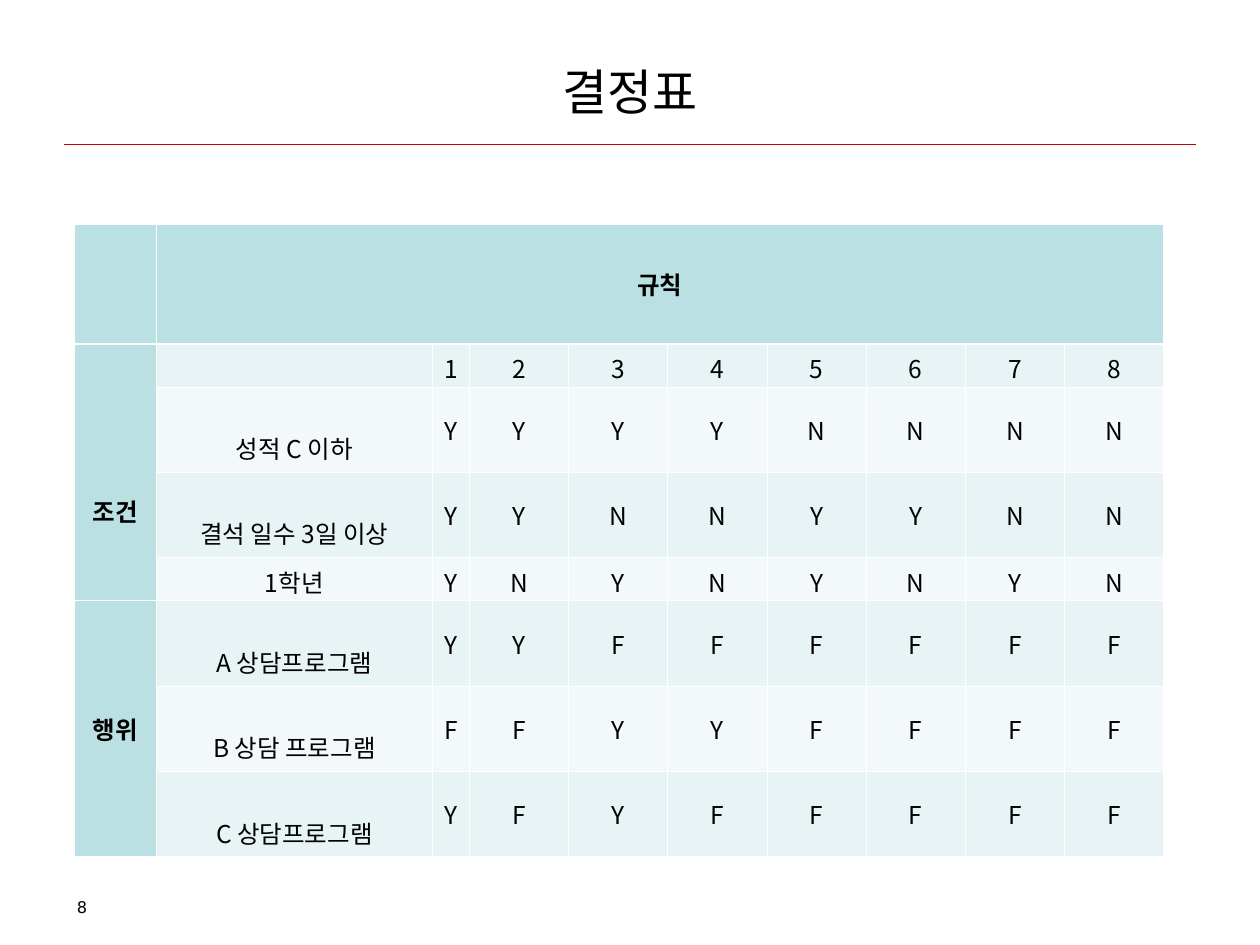
"""Build a decision table slide with conditions, actions and eight rules."""
from lxml.etree import SubElement
from pptx import Presentation
from pptx.dml.color import RGBColor
from pptx.enum.shapes import MSO_CONNECTOR
from pptx.enum.text import MSO_ANCHOR, PP_ALIGN
from pptx.oxml.ns import qn
from pptx.util import Cm, Pt

KOREAN_FONT = "Noto Sans CJK KR"
NUMBER_FONT = "DejaVu Sans"
BLACK, WHITE, RED = "000000", "FFFFFF", "C40000"
HEADER_FILL = "BBE0E3"
BAND_FILLS = ("F3F9FA", "E7F3F4")

TITLE = "결정표"
PAGE_NUMBER = "8"
RULES_HEADING = "규칙"
ROWS = [
    ("", "12345678"),
    ("성적 C 이하", "YYYYNNNN"),
    ("결석 일수 3일 이상", "YYNNYYNN"),
    ("1학년", "YNYNYNYN"),
    ("A 상담프로그램", "YYFFFFFF"),
    ("B 상담 프로그램", "FFYYFFFF"),
    ("C 상담프로그램", "YFYFFFFF"),
]
GROUPS = [
    ("조건", 1, 4, MSO_ANCHOR.TOP, 3),
    ("행위", 5, 7, MSO_ANCHOR.MIDDLE, 0.13),
]
COLUMN_WIDTHS = [1.65, 5.57, 0.74] + [2.0] * 7
ROW_HEIGHTS = [2.4, 0.87, 1.72, 1.72, 0.87, 1.72, 1.72, 1.72]
TABLE_LEFT, TABLE_TOP = 1.5, 4.53


def color(value):
    return RGBColor.from_string(value)


def write(frame, text, size, font=KOREAN_FONT, bold=False, align=PP_ALIGN.CENTER):
    paragraph = frame.paragraphs[0]
    paragraph.alignment = align
    run = paragraph.add_run()
    run.text = text
    run.font.size = Pt(size)
    run.font.name = font
    run.font.bold = bold
    run.font.color.rgb = color(BLACK)
    SubElement(run.font._element, qn("a:ea"), typeface=font)
    return paragraph


def add_text(slide, box, text, size, anchor, **style):
    shape = slide.shapes.add_textbox(*map(Cm, box))
    frame = shape.text_frame
    frame.word_wrap = True
    frame.vertical_anchor = anchor
    return write(frame, text, size, **style)


def style_cell(cell, row, column):
    cell.margin_left = cell.margin_right = cell.margin_top = cell.margin_bottom = 0
    properties = cell._tc.get_or_add_tcPr()
    for side in "LRTB":
        heavy = (row, side) in ((0, "B"), (1, "T"))
        border = SubElement(properties, qn(f"a:ln{side}"), w=str(Pt(1.47 if heavy else 0.45)))
        SubElement(SubElement(border, qn("a:solidFill")), qn("a:srgbClr"), val=WHITE)
    cell.fill.solid()
    header = row == 0 or column == 0
    cell.fill.fore_color.rgb = color(HEADER_FILL if header else BAND_FILLS[row % 2])


def fill_cell(cell, text, anchor=MSO_ANCHOR.MIDDLE, bold=False, top=0.13):
    cell.margin_left = cell.margin_right = Cm(0.18)
    cell.margin_top, cell.margin_bottom = Cm(top), Cm(0.13)
    cell.vertical_anchor = anchor
    write(cell.text_frame, text, 14, bold=bold)


def add_decision_table(slide):
    table = slide.shapes.add_table(
        len(ROW_HEIGHTS), len(COLUMN_WIDTHS), Cm(TABLE_LEFT), Cm(TABLE_TOP),
        Cm(sum(COLUMN_WIDTHS)), Cm(sum(ROW_HEIGHTS))).table
    table.first_row = table.horz_banding = False
    for column, width in zip(table.columns, COLUMN_WIDTHS):
        column.width = Cm(width)
    for row_index, height in enumerate(ROW_HEIGHTS):
        table.rows[row_index].height = Cm(height)
        for column_index in range(len(COLUMN_WIDTHS)):
            style_cell(table.cell(row_index, column_index), row_index, column_index)

    table.cell(0, 1).merge(table.cell(0, len(COLUMN_WIDTHS) - 1))
    fill_cell(table.cell(0, 1), RULES_HEADING, bold=True)
    for name, first, last, anchor, top in GROUPS:
        table.cell(first, 0).merge(table.cell(last, 0))
        fill_cell(table.cell(first, 0), name, anchor, True, top)
    for row_index, (label, values) in enumerate(ROWS, 1):
        if label:
            fill_cell(table.cell(row_index, 1), label, MSO_ANCHOR.BOTTOM)
        for column_index, value in enumerate(values, 2):
            fill_cell(table.cell(row_index, column_index), value)


def main():
    presentation = Presentation()
    presentation.slide_width, presentation.slide_height = Cm(25.4), Cm(19.05)
    slide = presentation.slides.add_slide(presentation.slide_layouts[6])

    rule = slide.shapes.add_connector(
        MSO_CONNECTOR.STRAIGHT, Cm(1.3), Cm(2.92), Cm(24.1), Cm(2.92))
    rule.line.color.rgb = color(RED)
    rule.line.width = Pt(0.75)
    SubElement(rule._element.spPr, qn("a:effectLst"))

    add_text(slide, (1.27, 0.76, 22.86, 2.16), TITLE, 28, MSO_ANCHOR.MIDDLE)
    add_decision_table(slide)
    number = add_text(slide, (1.3, 18.01, 5.92, 0.71), PAGE_NUMBER, 9.2, MSO_ANCHOR.TOP,
                      font=NUMBER_FONT, align=PP_ALIGN.LEFT)
    number.line_spacing = 0.9
    presentation.save("out.pptx")


if __name__ == "__main__":
    main()
